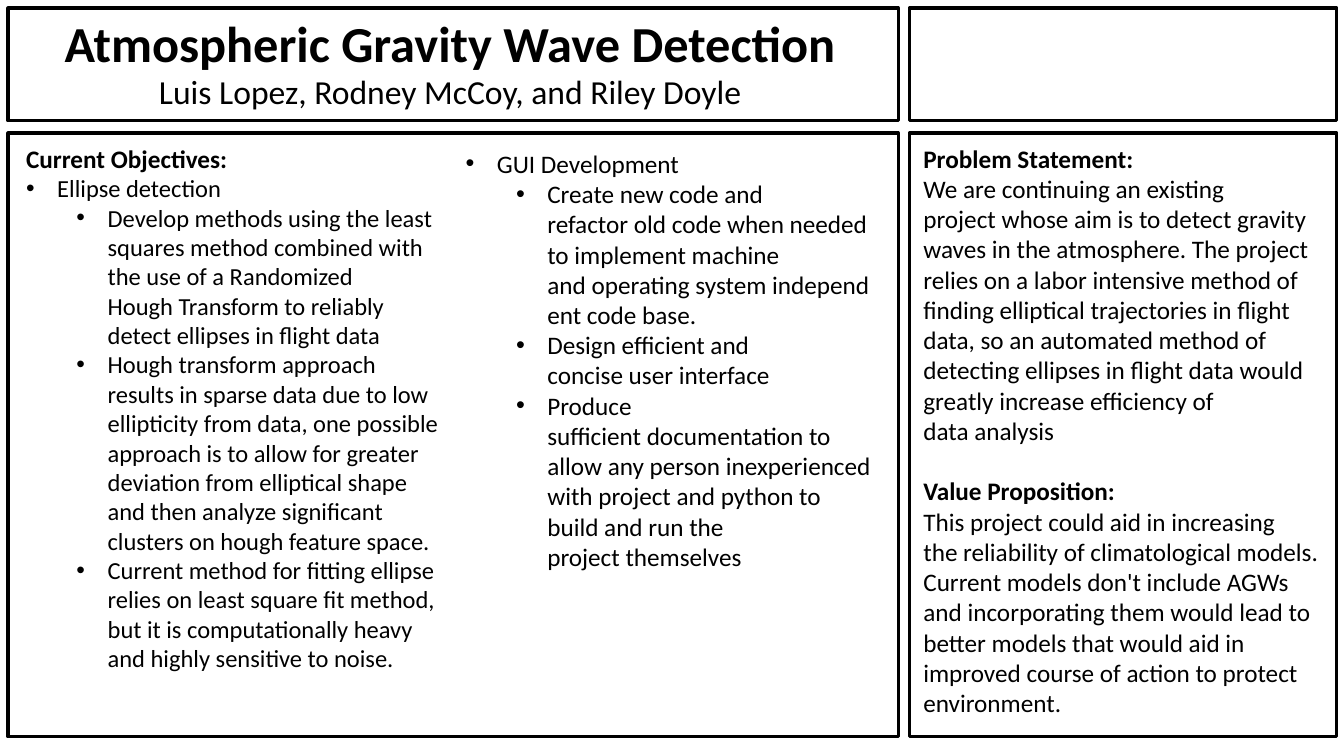
from itertools import product
from lxml import etree
from pptx import Presentation
from pptx import util as u
from pptx.dml.color import RGBColor
from pptx.enum import shapes, text
from pptx.oxml import ns

# Grid of the poster: start and length of each column and row, in inches
COLS = ((0.08, 8.83), (9.02, 4.24))
ROWS = ((0.08, 1.12), (1.32, 5.99))


def hue(code):
    """Turn a hex string into a colour."""
    return RGBColor.from_string(code)


class Poster:
    """Holds the style and the current slide."""

    font, ink, paper = "Calibri", "000000", "FFFFFF"

    def __init__(self, deck):
        """Add a title slide to the deck."""
        self.slide = deck.slides.add_slide(deck.slide_layouts[0])

    def area(self, col, row, dx=0, dy=0, wide=None, high=None):
        """Give left, top, width and height inside a grid cell."""
        (x, w), (y, h) = COLS[col], ROWS[row]
        sides = (x + dx, y + dy, wide or w - dx, high or h - dy)
        return [u.Inches(side) for side in sides]

    def panel(self, col, row):
        """Draw the framed panel of a grid cell."""
        box = self.slide.shapes.add_shape(
            shapes.MSO_SHAPE.RECTANGLE, *self.area(col, row))
        box.shadow.inherit = False
        box.fill.solid()
        box.fill.fore_color.rgb = hue(self.paper)
        box.line.color.rgb = hue(self.ink)
        box.line.width = u.Pt(2.25)

    def add_words(self, para, words, size, bold=False):
        """Add one run; a tilde stands for a no-break space."""
        run = para.add_run()
        run.text = words.replace("~", "\u00a0")
        run.font.name, run.font.size = self.font, u.Pt(size)
        run.font.bold = bold
        run.font.color.rgb = hue(self.ink)

    def head(self, index, place, words, size, bold, before, anchor):
        """Move and fill a heading placeholder, in front of the panels."""
        box = self.slide.placeholders[index]
        box.left, box.top, box.width, box.height = place
        self.slide.shapes.element.append(box.element)
        frame = box.text_frame
        frame.auto_size = text.MSO_AUTO_SIZE.NONE
        frame.vertical_anchor = anchor
        para = frame.paragraphs[0]
        para.alignment = text.PP_ALIGN.CENTER
        para.line_spacing, para.space_before = 0.9, u.Pt(before)
        self.add_words(para, words, size, bold)

    def bullet(self, para, level):
        """Give a paragraph a hanging bullet."""
        para.level = level
        props = para._p.get_or_add_pPr()
        props.set("marL", str(u.Inches(0.31 + 0.5 * level)))
        props.set("indent", str(u.Inches(-0.31)))
        etree.SubElement(props, ns.qn("a:buFont")).set("typeface", "Arial")
        etree.SubElement(props, ns.qn("a:buChar")).set("char", "•")

    def block(self, place, lines):
        """Add a text box; a line is (words, size, kind, space before)."""
        frame = self.slide.shapes.add_textbox(*place).text_frame
        frame.word_wrap = True
        for i, (words, size, kind, before) in enumerate(lines):
            para = frame.add_paragraph() if i else frame.paragraphs[0]
            para.space_before = u.Pt(before)
            if kind in (0, 1):
                self.bullet(para, kind)
            self.add_words(para, words, size, kind == "head")


def points(main, subs, size):
    """List a main bullet and its sub-bullets."""
    return [(main, size, 0, 0)] + [(sub, size, 1, 0) for sub in subs]


PROBLEM = (
    "We are continuing an existing project~whose aim is to detect gravity "
    "waves in the~atmosphere. The project relies on a~labor~intensive~method "
    "of finding elliptical~trajectories in flight data, so an automated~method "
    "of detecting ellipses in flight data~would greatly increase efficiency of "
    "data~analysis")
VALUE = (
    "This project could aid in increasing the~reliability of climatological "
    "models. Current~models don't include AGWs and~incorporating them would "
    "lead to better~models that would aid in improved course~of action to "
    "protect environment.~")
ELLIPSE = (
    "Develop methods using the least squares method combined with the use of "
    "a Randomized Hough~Transform to reliably detect ellipses in flight data",
    "Hough transform approach results in sparse data due to low ellipticity "
    "from data, one possible approach is to allow for greater deviation from "
    "elliptical shape and then analyze significant clusters on hough feature "
    "space.",
    "Current method for fitting ellipse relies on~least square~fit method, "
    "but~it is computationally heavy and highly sensitive to noise.")
GUI = (
    "Create new code and refactor~old code when needed to~implement machine "
    "and~operating~system~independent~code base.~",
    "Design efficient and concise~user~interface",
    "Produce sufficient~documentation to allow~any~person inexperienced "
    "with~project and python to build~and~run the project~themselves~")

deck = Presentation()
deck.slide_width, deck.slide_height = u.Inches(13.33), u.Inches(7.5)
poster = Poster(deck)
for col, row in product(range(2), range(2)):
    poster.panel(col, row)

poster.head(0, poster.area(0, 0, 0.12, 0.1, 8.53, 0.6),
            "Atmospheric Gravity Wave Detection", 36, True, 0,
            text.MSO_ANCHOR.BOTTOM)
poster.head(1, poster.area(0, 0, 0.12, 0.62, 8.53, 0.49),
            "Luis Lopez, Rodney McCoy, and Riley Doyle", 24, False, 10,
            text.MSO_ANCHOR.TOP)
poster.block(poster.area(1, 1, 0.04, 0.05, 4.14), [
    ("Problem Statement:", 18, "head", 0), (PROBLEM, 18, "body", 0),
    ("Value Proposition:", 18, "head", 21.6), (VALUE, 18, "body", 0)])
poster.block(poster.area(0, 1, 0.08, 0.05, 4.33),
             [("Current Objectives:", 18, "head", 0)]
             + points("Ellipse detection", ELLIPSE, 17.5))
poster.block(poster.area(0, 1, 4.44, 0.1, 4.31),
             points("GUI Development", GUI, 18))
deck.save("out.pptx")
